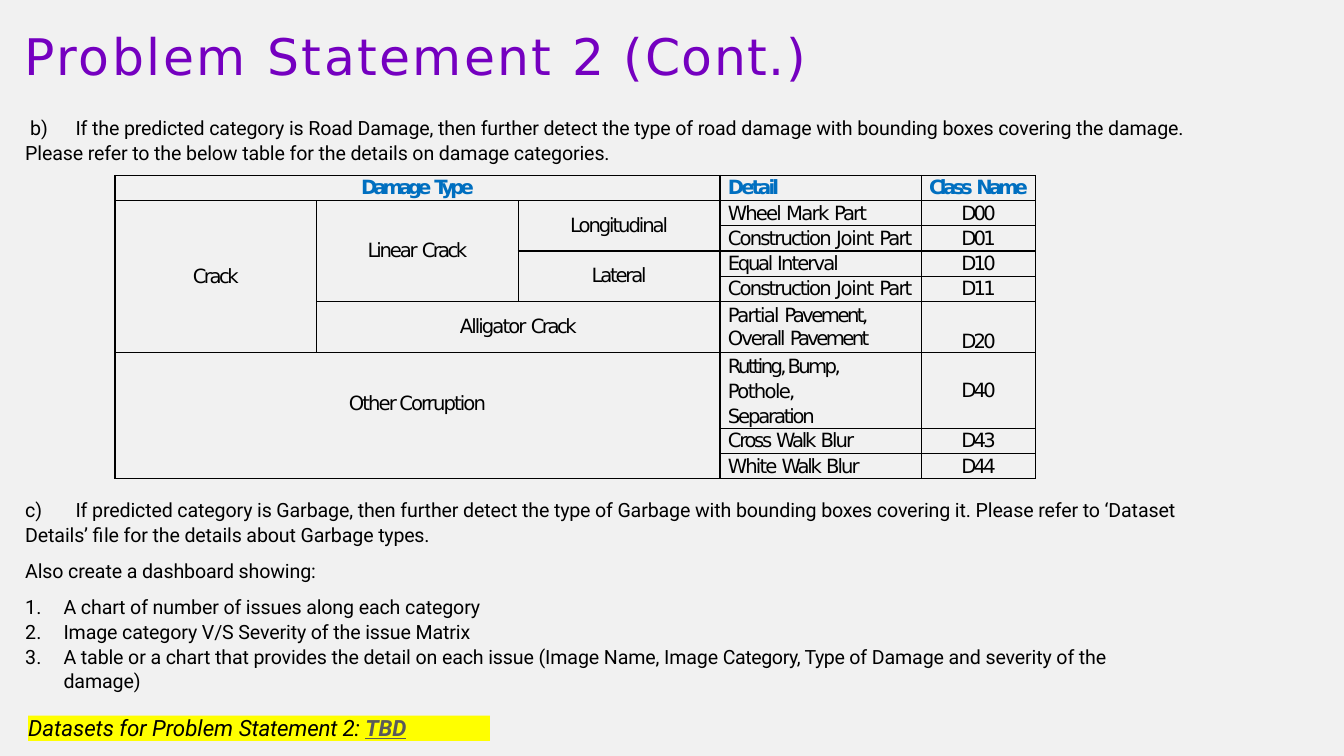
from dataclasses import dataclass
from typing import NamedTuple

from lxml.etree import SubElement
from pptx import Presentation
from pptx.dml.color import RGBColor
from pptx.enum.shapes import MSO_SHAPE
from pptx.enum.text import MSO_ANCHOR, MSO_AUTO_SIZE, PP_ALIGN
from pptx.oxml.ns import qn
from pptx.util import Inches, Pt


@dataclass(frozen=True)
class Theme:
    heading_font: str = "DejaVu Sans"
    body_font: str = "Roboto"
    paper: str = "F1F1F1"
    purple: str = "7500C0"
    blue: str = "006FC0"
    ink: str = "000000"
    grey: str = "5A5A5A"
    yellow: str = "FFFF00"
    title_size: float = 36
    text_size: float = 14
    note_size: float = 16


THEME = Theme()


class Style(NamedTuple):
    font: str
    size: float
    color: str
    bold: bool = False
    italic: bool = False
    underline: bool = False


class Span(NamedTuple):
    text: str
    spacing: float = 0


class Item(NamedTuple):
    spans: list[Span]
    before: float
    line: float = 1.0
    margin: float = 0.01
    indent: float = 0
    tab: float = 0
    numbered: bool = False


class Entry(NamedTuple):
    row: int
    col: int
    lines: list[list[Span]]
    rows: int = 1
    cols: int = 1


TITLE = Style(THEME.heading_font, THEME.title_size, THEME.purple)
BODY = Style(THEME.body_font, THEME.text_size, THEME.ink)
HEADER = Style(THEME.heading_font, THEME.text_size, THEME.blue, bold=True)
CELL = Style(THEME.heading_font, THEME.text_size, THEME.ink)
NOTE = Style(THEME.body_font, THEME.note_size, THEME.ink, italic=True)
TBD = Style(THEME.body_font, THEME.note_size, THEME.grey, True, True, True)


def add_span(paragraph, span: Span, style: Style) -> None:
    run = paragraph.add_run()
    run.text = span.text
    font = run.font
    font.name, font.size = style.font, Pt(style.size)
    font.bold, font.italic, font.underline = style.bold, style.italic, style.underline
    font.color.rgb = RGBColor.from_string(style.color)
    run._r.get_or_add_rPr().set("spc", str(round(span.spacing * 100)))


def place(shape, left: float, top: float, width: float, height: float) -> None:
    shape.left, shape.top = Inches(left), Inches(top)
    shape.width, shape.height = Inches(width), Inches(height)


def prepare_frame(frame, top: float = 0.01, right: float = 0) -> None:
    frame.word_wrap = True
    frame.auto_size = MSO_AUTO_SIZE.NONE
    frame.vertical_anchor = MSO_ANCHOR.TOP
    frame.margin_left = frame.margin_bottom = 0
    frame.margin_top, frame.margin_right = Inches(top), Inches(right)


def write_items(frame, items: list[Item]) -> None:
    for index, item in enumerate(items):
        paragraph = frame.add_paragraph() if index else frame.paragraphs[0]
        paragraph.alignment = PP_ALIGN.LEFT
        paragraph.line_spacing = item.line
        paragraph.space_before, paragraph.space_after = Pt(item.before), Pt(0)
        props = paragraph._p.get_or_add_pPr()
        props.set("marL", str(Inches(item.margin)))
        props.set("indent", str(Inches(item.indent)))
        if item.numbered:
            SubElement(props, qn("a:buAutoNum"), type="arabicPeriod")
        else:
            SubElement(props, qn("a:buNone"))
        if item.tab:
            tabs = SubElement(props, qn("a:tabLst"))
            SubElement(tabs, qn("a:tab"), pos=str(Inches(item.tab)), algn="l")
        for span in item.spans:
            add_span(paragraph, span, BODY)


def add_borders(cell) -> None:
    props = cell._tc.get_or_add_tcPr()
    for side in ("lnL", "lnR", "lnT", "lnB"):
        line = SubElement(props, qn(f"a:{side}"), w=str(Pt(1)))
        fill = SubElement(line, qn("a:solidFill"))
        SubElement(fill, qn("a:srgbClr"), val=THEME.ink)


def write_entry(table, entry: Entry) -> None:
    cell = table.cell(entry.row, entry.col)
    if entry.rows * entry.cols > 1:
        cell.merge(table.cell(entry.row + entry.rows - 1, entry.col + entry.cols - 1))
    paragraph = cell.text_frame.paragraphs[0]
    if entry.col == DETAIL:
        cell.margin_left = Inches(0.08)
    else:
        paragraph.alignment = PP_ALIGN.CENTER
    if len(entry.lines) > 2:
        paragraph.line_spacing = Pt(18)
    for index, line in enumerate(entry.lines):
        if index:
            paragraph.add_line_break()
        for span in line:
            add_span(paragraph, span, CELL if entry.row else HEADER)


presentation = Presentation()
presentation.slide_width, presentation.slide_height = Inches(13.33), Inches(7.5)
slide = presentation.slides.add_slide(presentation.slide_layouts[1])
slide.background.fill.solid()
slide.background.fill.fore_color.rgb = RGBColor.from_string(THEME.paper)

# Title
title = slide.shapes.title
place(title, 0.24, 0.24, 7.8, 0.63)
prepare_frame(title.text_frame)
heading = title.text_frame.paragraphs[0]
heading.alignment = PP_ALIGN.LEFT
for part in (Span("Problem ", 1.9), Span("Statement ", 1.7), Span("2 (Cont.)", 1.1)):
    add_span(heading, part, TITLE)

# Damage categories table
COLUMN_WIDTHS = [2, 2, 2, 2, 1.13]
ROW_HEIGHTS = [0.25] * 5 + [0.51, 0.75] + [0.25] * 2
DETAIL, CLASS_NAME = 3, 4
CONSTRUCTION = [[Span("Construction ", -1.4), Span("Joint ", -0.9), Span("Part", -1.4)]]
DETAILS = [
    ("D00", [[Span("Wheel ", -1.4), Span("Mark ", -1.2), Span("Part", -1.4)]]),
    ("D01", CONSTRUCTION),
    ("D10", [[Span("Equal ", -1.7), Span("Interval", -1.4)]]),
    ("D11", CONSTRUCTION),
    ("D20", [[Span("Partial ", -1.2), Span("Pavement,", -1.8)],
             [Span("Overall ", -1.5), Span("Pavement", -1.9)]]),
    ("D40", [[Span("Rutting, ", -1.9), Span("Bump,", -1.9)],
             [Span("Pothole,", -1.2)], [Span("Separation", -1.6)]]),
    ("D43", [[Span("Cross ", -1.7), Span("Walk ", -1.6), Span("Blur", -1.4)]]),
    ("D44", [[Span("White ", -1.4), Span("Walk ", -1.6), Span("Blur", -1.4)]]),
]
entries = [
    Entry(0, 0, [[Span("Damage ", -2.9), Span("Type", -2.8)]], cols=3),
    Entry(0, DETAIL, [[Span("Detail", -2.1)]]),
    Entry(0, CLASS_NAME, [[Span("Class ", -2.5), Span("Name", -2.8)]]),
    Entry(1, 0, [[Span("Crack", -1.8)]], rows=5),
    Entry(1, 1, [[Span("Linear ", -1.6), Span("Crack", -1.9)]], rows=4),
    Entry(1, 2, [[Span("Longitudinal", -1.5)]], rows=2),
    Entry(3, 2, [[Span("Lateral", -1.6)]], rows=2),
    Entry(5, 1, [[Span("Alligator ", -1.4), Span("Crack", -1.8)]], cols=2),
    Entry(6, 0, [[Span("Other Corruption", -1.4)]], rows=3, cols=3),
]
for row, (class_name, detail) in enumerate(DETAILS, start=1):
    entries += [Entry(row, DETAIL, detail), Entry(row, CLASS_NAME, [[Span(class_name, -2)]])]

damage = slide.shapes.add_table(
    len(ROW_HEIGHTS), len(COLUMN_WIDTHS), Inches(1.14), Inches(1.74),
    Inches(sum(COLUMN_WIDTHS)), Inches(sum(ROW_HEIGHTS))).table
damage.first_row = damage.horz_banding = False
for column, width in zip(damage.columns, COLUMN_WIDTHS):
    column.width = Inches(width)
for table_row, height in zip(damage.rows, ROW_HEIGHTS):
    table_row.height = Inches(height)
for cell in damage.iter_cells():
    add_borders(cell)
    cell.fill.solid()
    cell.fill.fore_color.rgb = RGBColor.from_string(THEME.paper)
    cell.margin_left = cell.margin_right = cell.margin_top = cell.margin_bottom = 0
    cell.vertical_anchor = MSO_ANCHOR.MIDDLE
for entry in entries:
    write_entry(damage, entry)
damage.cell(5, CLASS_NAME).vertical_anchor = MSO_ANCHOR.BOTTOM
damage.cell(6, 0).vertical_anchor = MSO_ANCHOR.TOP
damage.cell(6, 0).margin_top = Inches(0.39)

# Road damage paragraph
road_damage = slide.shapes.add_textbox(Inches(0.24), Inches(1.12), Inches(11.56), Inches(0.53))
prepare_frame(road_damage.text_frame)
write_items(road_damage.text_frame, [Item([
    Span("b)\t", -0.1), Span("If ", -0.2),
    Span("the predicted category is Road Damage, then further detect the ", -0.1),
    Span("type ", -0.2), Span("of road damage with bounding ", -0.1), Span("boxes ", -0.2),
    Span("covering the damage. Please refer to the below table for the details on "
         "damage categories.", -0.1)], 1, 1.07, indent=0.05, tab=1.01)])

# Garbage paragraph and dashboard list
dashboard = slide.placeholders[1]
place(dashboard, 0.24, 4.91, 11.5, 1.98)
prepare_frame(dashboard.text_frame, right=0.08)
numbered = dict(margin=0.39, indent=-0.38, tab=0.39, numbered=True)
write_items(dashboard.text_frame, [
    Item([Span("c)\t", -0.1), Span("If ", -0.2),
          Span("predicted category is Garbage, then further detect the ", -0.1),
          Span("type ", -0.2), Span("of Garbage with bounding ", -0.1), Span("boxes ", -0.2),
          Span("covering it. Please refer to ‘Dataset Details’ file for the details "
               "about Garbage ", -0.1), Span("types.", -0.2)], 1, 1.07, tab=0.39),
    Item([Span("Also create a dashboard showing:", -0.1)], 9.3),
    Item([Span("A chart of number of issues along each category", -0.1)], 8.9, **numbered),
    Item([Span("Image category V/S Severity of the issue Matrix", -0.1)], 0.7, **numbered),
    Item([Span("A table or a chart that provides the detail on each issue "
               "(Image Name, Image ", -0.1), Span("Category, Type ", -0.3),
          Span("of Damage and severity of the damage)", -0.1)], 0.2, 1.04, **numbered),
])

# Highlighted datasets note
datasets = slide.shapes.add_shape(
    MSO_SHAPE.RECTANGLE, Inches(0.28), Inches(7.1), Inches(4.58), Inches(0.25))
datasets.shadow.inherit = False
datasets.fill.solid()
datasets.fill.fore_color.rgb = RGBColor.from_string(THEME.yellow)
datasets.line.fill.background()
prepare_frame(datasets.text_frame, top=0)
note = datasets.text_frame.paragraphs[0]
note.alignment, note.line_spacing = PP_ALIGN.LEFT, Pt(17.9)
add_span(note, Span("Datasets for Problem "), NOTE)
add_span(note, Span("Statement 2: ", -0.1), NOTE)
add_span(note, Span("TBD", -0.1), TBD)

presentation.save("out.pptx")
